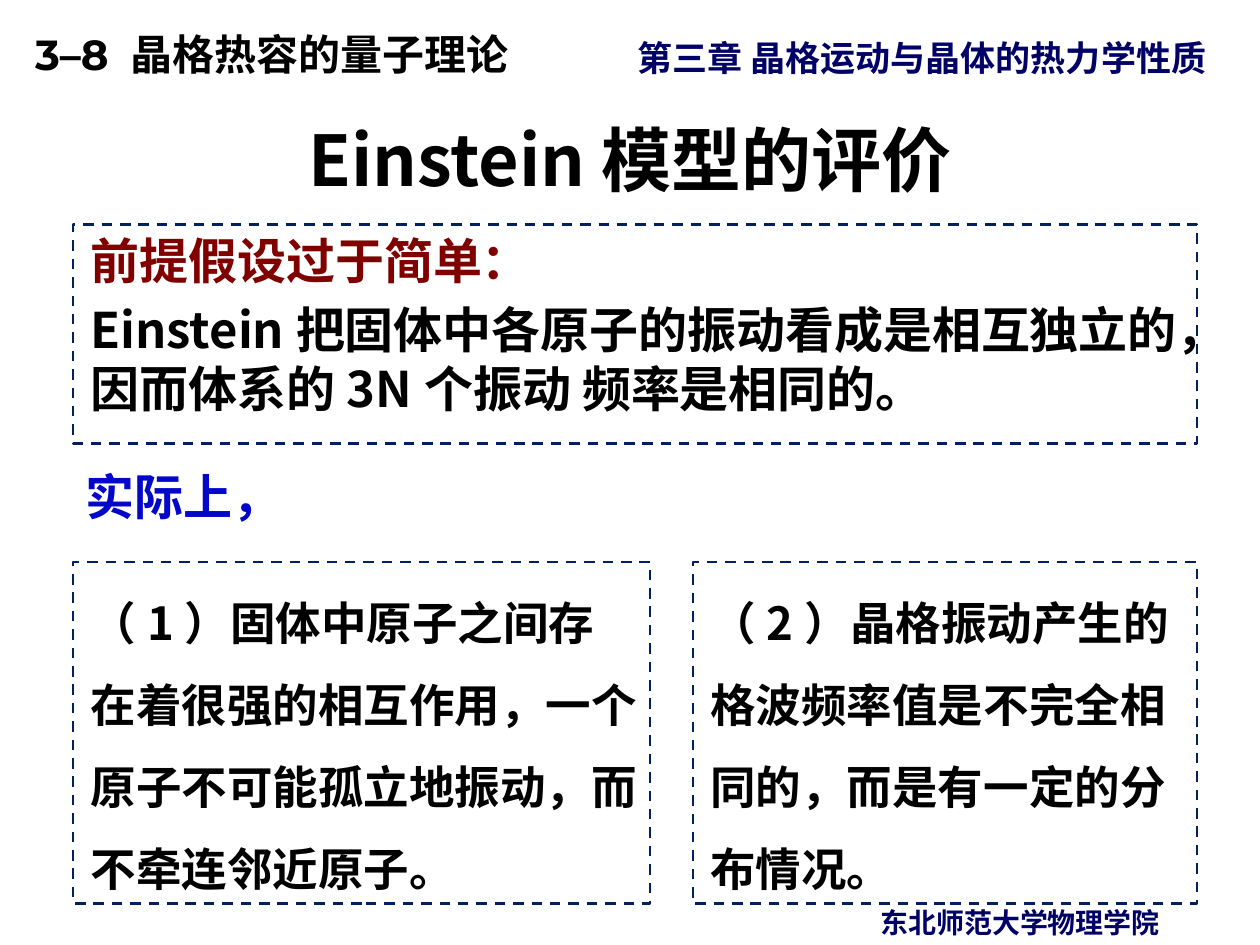
from collections import namedtuple

from lxml.etree import SubElement
from pptx import Presentation
from pptx.dml.color import RGBColor
from pptx.enum.dml import MSO_LINE_DASH_STYLE as Dash
from pptx.enum.shapes import MSO_SHAPE as Shape
from pptx.enum.text import MSO_ANCHOR as Anchor, PP_ALIGN as Align
from pptx.oxml.ns import qn
from pptx.util import Inches, Pt

BLACK = RGBColor(0x00, 0x00, 0x00)
NAVY = RGBColor(0x00, 0x00, 0x66)
BORDER = RGBColor(0x00, 0x20, 0x60)
MAROON = RGBColor(0x80, 0x00, 0x00)
BLUE = RGBColor(0x02, 0x07, 0xCA)

COLUMNS, ROWS = 100, 75
CELL = Inches(0.1)
LEFT, RIGHT = 5.8, 95
PANEL_INDENT = 0.4
CHINESE_FONT, LATIN_FONT = "Noto Sans CJK SC", "Montserrat"

Box = namedtuple("Box", "left top width height")


def cells(count):
    """Turn a number of grid cells into a length."""
    return round(count * CELL)


def write_paragraph(paragraph, text, size, color, font=CHINESE_FONT, indent=0, **formats):
    """Write one bold paragraph with its format values."""
    properties = paragraph._p.get_or_add_pPr()
    properties.set("marL", str(cells(indent)))
    properties.set("indent", "0")
    for name, value in formats.items():
        setattr(paragraph, name, value)
    run = paragraph.add_run()
    run.text = text
    for name, value in {"size": Pt(size), "bold": True, "name": font}.items():
        setattr(run.font, name, value)
    run.font.color.rgb = color
    SubElement(run._r.get_or_add_rPr(), qn("a:ea"), typeface=CHINESE_FONT)


def add_label(slide, box, text, size, color, anchor=Anchor.TOP, wrap=True, **formats):
    """Place a one-line text box in the given box."""
    label = slide.shapes.add_textbox(*map(cells, box))
    frame = label.text_frame
    frame.word_wrap = wrap
    frame.vertical_anchor = anchor
    write_paragraph(frame.paragraphs[0], text, size, color, **formats)


def add_panel(slide, box, entries, size, line_spacing=1.0):
    """Place a dashed frame with (text, colour) paragraphs in the given box."""
    panel = slide.shapes.add_shape(Shape.RECTANGLE, *map(cells, box))
    panel.shadow.inherit = False
    panel.fill.background()
    panel.line.color.rgb = BORDER
    for name, value in {"width": Pt(1.5), "dash_style": Dash.DASH}.items():
        setattr(panel.line, name, value)
    frame = panel.text_frame
    frame.word_wrap = True
    frame.vertical_anchor = Anchor.TOP
    for index, (text, color) in enumerate(entries):
        paragraph = frame.add_paragraph() if index else frame.paragraphs[0]
        write_paragraph(paragraph, text, size, color, indent=PANEL_INDENT,
                        alignment=Align.LEFT, line_spacing=line_spacing,
                        space_before=Pt(6 if index else 0))


def add_header(slide, box):
    """Place the section and chapter names in the given band."""
    chapter = Box(box.left + 49.6, box.top + 1.7, 50.8, 4.4)
    section = Box(box.left, box.top, 80.5, box.height)
    add_label(slide, chapter, "第三章 晶格运动与晶体的热力学性质", 20, NAVY)
    add_label(slide, section, "3–8 晶格热容的量子理论", 24, BLACK, Anchor.MIDDLE,
              font=LATIN_FONT, indent=1.8, line_spacing=1.25)


def add_reasons(slide, box, gap, first_width):
    """Place the two numbered reasons side by side in the given box."""
    second_left = box.left + first_width + gap
    first = box._replace(width=first_width)
    second = box._replace(left=second_left, width=box.left + box.width - second_left)
    reasons = {
        first: "（1）固体中原子之间存在着很强的相互作用，一个原子不可能孤立地振动，而不牵连邻近原子。",
        second: "（2）晶格振动产生的格波频率值是不完全相同的，而是有一定的分布情况。",
    }
    for part, text in reasons.items():
        add_panel(slide, part, [(text, BLACK)], 26, 1.5)


def build_evaluation_slide(presentation):
    """Build the slide that evaluates the Einstein model."""
    slide = presentation.slides.add_slide(presentation.slide_layouts[6])
    width = RIGHT - LEFT
    add_header(slide, Box(0, 0.7, COLUMNS, 6.1))
    add_label(slide, Box(68.9, 71.4, 31.1, 3.7), "东北师范大学物理学院", 16, NAVY)
    add_label(slide, Box(5, 9.1, 90, 7.4), "Einstein模型的评价", 40, BLACK,
              Anchor.BOTTOM, alignment=Align.CENTER, line_spacing=0.9)
    add_panel(slide, Box(LEFT, 17.8, width, 17.4), [
        ("前提假设过于简单：", MAROON),
        ("Einstein把固体中各原子的振动看成是相互独立的，因而体系的3N个振动 频率是相同的。", BLACK),
    ], 28)
    add_reasons(slide, Box(LEFT, 44.6, width, 27.1), gap=3.4, first_width=45.8)
    add_label(slide, Box(LEFT, 36.5, 17.8, 5.7), "实际上，", 28, BLUE, wrap=False)


def main():
    """Create and save the presentation."""
    presentation = Presentation()
    presentation.slide_width = cells(COLUMNS)
    presentation.slide_height = cells(ROWS)
    build_evaluation_slide(presentation)
    presentation.save("out.pptx")


if __name__ == "__main__":
    main()
